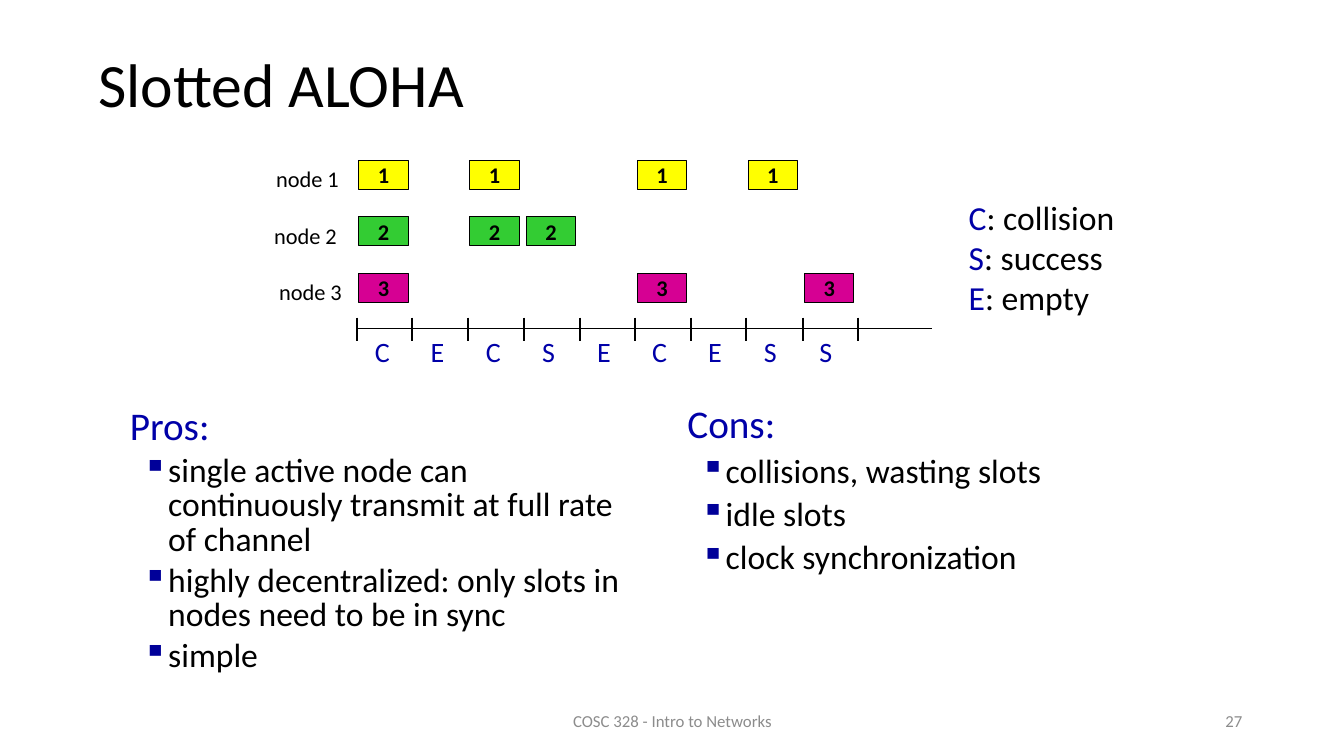
from lxml.etree import SubElement
from pptx import Presentation
from pptx.dml.color import RGBColor
from pptx.enum.shapes import MSO_CONNECTOR as Connector, MSO_SHAPE as Shape
from pptx.enum.text import MSO_ANCHOR as Anchor, PP_ALIGN as Align
from pptx.oxml.ns import qn
from pptx.util import Pt

EMU_PER_PX = 9144
BLACK, BLUE, BULLET_BLUE, GRAY = "000000", "0000A8", "000099", "8C8C8C"
YELLOW, GREEN, MAGENTA = "FFFF00", "33CC33", "D60093"


def px(*lengths):
    return [length * EMU_PER_PX for length in lengths]


def color(value):
    return RGBColor.from_string(value)


def assign(target, values):
    for name, value in values.items():
        setattr(target, name, value)


class SlideBuilder:
    font_name = "Calibri"

    def __init__(self, presentation):
        self.slide = presentation.slides.add_slide(presentation.slide_layouts[6])

    def add_runs(self, paragraph, runs, size, bold=False, **layout):
        assign(paragraph, layout)
        for text, shade in runs:
            run = paragraph.add_run()
            run.text = text
            assign(run.font, {"name": self.font_name, "size": Pt(size), "bold": bold})
            run.font.color.rgb = color(shade)

    def text(self, box, lines, size, wrap=True, anchor=Anchor.TOP, **layout):
        frame = self.slide.shapes.add_textbox(*px(*box)).text_frame
        assign(frame, {"word_wrap": wrap, "vertical_anchor": anchor})
        for index, runs in enumerate(lines):
            paragraph = frame.add_paragraph() if index else frame.paragraphs[0]
            self.add_runs(paragraph, runs, size, **layout)

    def bullets(self, box, heading, items, line_spacing):
        frame = self.slide.shapes.add_textbox(*px(*box)).text_frame
        frame.word_wrap = True
        self.add_runs(frame.paragraphs[0], [(heading, BLUE)], 28, line_spacing=line_spacing)
        for item in items:
            paragraph = frame.add_paragraph()
            properties = paragraph._p.get_or_add_pPr()
            for name, length in zip(("marL", "indent"), px(38, -25)):
                properties.set(name, str(length))
            bullet_color = SubElement(properties, qn("a:buClr"))
            SubElement(bullet_color, qn("a:srgbClr")).set("val", BULLET_BLUE)
            SubElement(properties, qn("a:buChar")).set("char", "▪")
            self.add_runs(paragraph, [(item, BLACK)], 24,
                          line_spacing=line_spacing, space_before=Pt(5))

    def packet(self, box, label, fill):
        shape = self.slide.shapes.add_shape(Shape.RECTANGLE, *px(*box))
        shape.shadow.inherit = False
        shape.fill.solid()
        shape.fill.fore_color.rgb = color(fill)
        shape.line.color.rgb = color(BLACK)
        shape.line.width = Pt(0.75)
        frame = shape.text_frame
        assign(frame, {"margin_left": 0, "margin_right": 0, "margin_top": 0,
                       "margin_bottom": 0, "vertical_anchor": Anchor.MIDDLE})
        self.add_runs(frame.paragraphs[0], [(label, BLACK)], 16, bold=True,
                      alignment=Align.CENTER)

    def line(self, ends, width):
        connector = self.slide.shapes.add_connector(Connector.STRAIGHT, *px(*ends))
        connector.line.color.rgb = color(BLACK)
        connector.line.width = Pt(width)
        SubElement(connector._element.spPr, qn("a:effectLst"))


def slot_edge(slot):
    return round(354 + 55.2 * slot)


def main():
    presentation = Presentation()
    width, height = px(1333, 750)
    assign(presentation, {"slide_width": width, "slide_height": height})
    builder = SlideBuilder(presentation)

    builder.text((88, 38, 1150, 98), [[("Slotted ALOHA", BLACK)]], 44,
                 anchor=Anchor.MIDDLE, line_spacing=0.9)
    builder.bullets((119, 400, 530, 350), "Pros:", [
        "single active node can continuously transmit at full rate of channel",
        "highly decentralized: only slots in nodes need to be in sync",
        "simple",
    ], 0.85)
    builder.bullets((672, 397, 610, 300), "Cons:", [
        "collisions, wasting slots", "idle slots", "clock synchronization",
    ], 0.9)

    nodes = [
        (264, YELLOW, (0, 2, 5, 7)),
        (262, GREEN, (0, 2, 3)),
        (267, MAGENTA, (0, 5, 8)),
    ]
    for row, (label_left, fill, slots) in enumerate(nodes):
        top = 159 + 56 * row
        number = str(row + 1)
        builder.text((label_left, top, 83, 37), [[("node " + number, BLACK)]], 16,
                     wrap=False)
        for slot in slots:
            builder.packet((slot_edge(slot) + 2, top, 49, 29), number, fill)

    builder.line((354, 326, 924, 326), 0.75)
    outcomes = "CECSECESS"
    for tick in range(len(outcomes) + 1):
        builder.line((slot_edge(tick), 315, slot_edge(tick), 338), 1.5)
    for slot, outcome in enumerate(outcomes):
        builder.text((362 + 55 * slot, 327, 34, 44), [[(outcome, BLUE)]], 20,
                     wrap=False, alignment=Align.CENTER)

    legend = {"C": "collision", "S": "success", "E": "empty"}
    builder.text((951, 190, 166, 131),
                 [[(key, BLUE), (": " + meaning, BLACK)] for key, meaning in legend.items()],
                 24, wrap=False)

    builder.text((442, 695, 450, 40), [[("COSC 328 - Intro to Networks", GRAY)]], 12,
                 anchor=Anchor.MIDDLE, alignment=Align.CENTER)
    builder.text((942, 695, 300, 40), [[("27", GRAY)]], 12,
                 anchor=Anchor.MIDDLE, alignment=Align.RIGHT)
    presentation.save("out.pptx")


if __name__ == "__main__":
    main()
